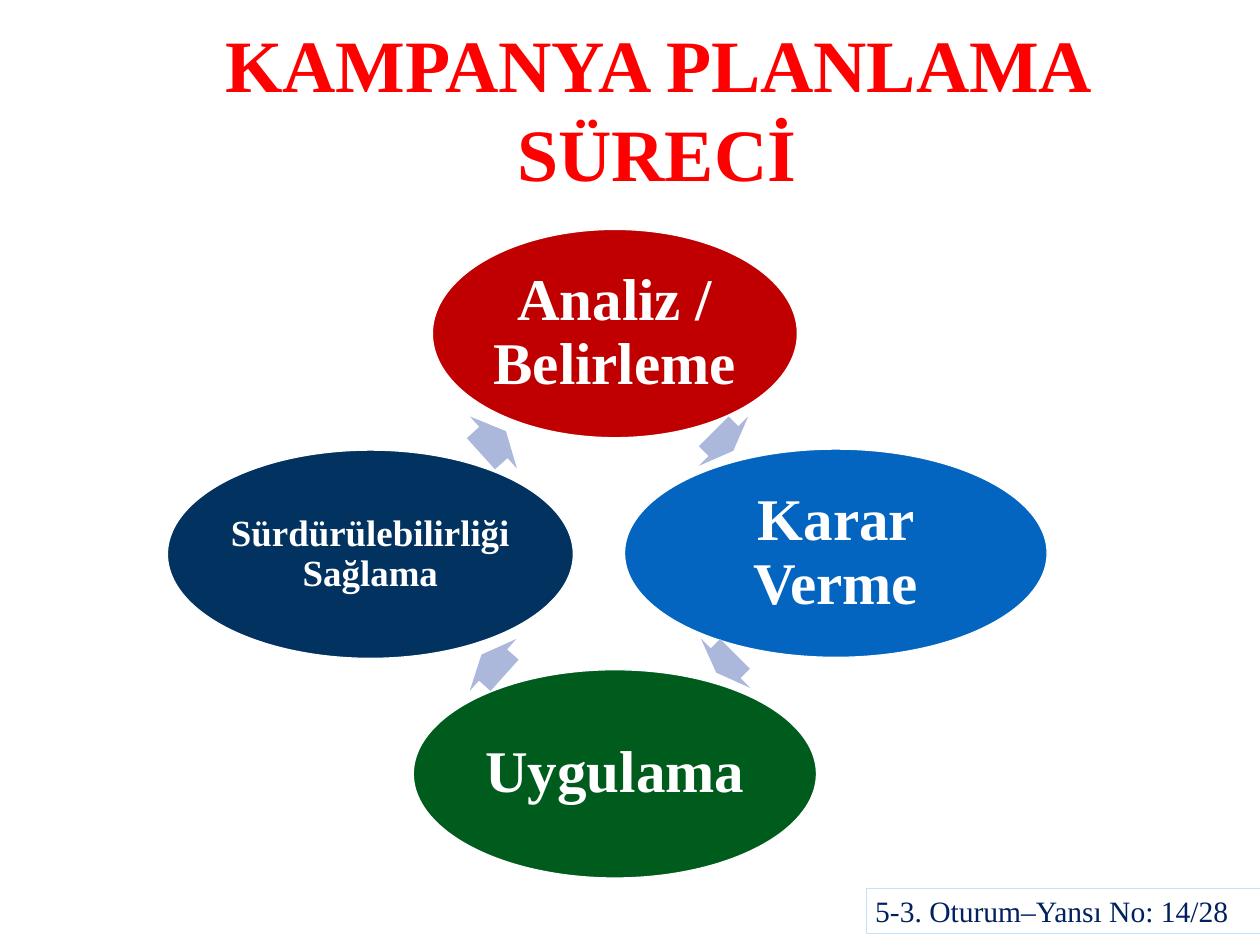
from dataclasses import dataclass

import pptx
import pptx.dml.color
import pptx.enum.shapes
import pptx.enum.text
import pptx.util

Pt = pptx.util.Pt
MSO_SHAPE = pptx.enum.shapes.MSO_SHAPE
PP_ALIGN = pptx.enum.text.PP_ALIGN
MSO_ANCHOR = pptx.enum.text.MSO_ANCHOR


@dataclass(frozen=True)
class Theme:
    font: str = "Times New Roman"
    title_size: float = 60
    stage_size: float = 48
    small_stage_size: float = 30
    footer_size: float = 24
    white: str = "FFFFFF"
    title: str = "FF0000"
    red: str = "C00000"
    blue: str = "0365C0"
    green: str = "005C1C"
    navy: str = "013260"
    arrow: str = "ABB8DC"
    footer_text: str = "002060"
    footer_line: str = "C1E1FE"


THEME = Theme()
STAGE_HEIGHT = 169.2
ARROW_HEIGHT = 56.9


@dataclass(frozen=True)
class Stage:
    text: str
    center_x: float
    center_y: float
    width: float
    color: str
    size: float = THEME.stage_size
    inset: float = 5


@dataclass(frozen=True)
class Arrow:
    center_x: float
    center_y: float
    width: float
    rotation: float


STAGES = [
    Stage("Analiz / Belirleme", 499.7, 271.1, 296.6, THEME.red),
    Stage("Karar Verme", 679.3, 449.6, 343.4, THEME.blue),
    Stage("Uygulama", 499.7, 628.9, 327.6, THEME.green),
    Stage("Sürdürülebilirliği Sağlama", 301, 450.4, 329.8, THEME.navy,
          THEME.small_stage_size, 3),
]
ARROWS = [
    Arrow(588, 358.5, 22.3, 45),
    Arrow(589.7, 539, 21.6, 135),
    Arrow(400.7, 540.4, 25.2, 221.9),
    Arrow(401, 359.6, 27.4, 317.9),
]


def rgb(color: str) -> pptx.dml.color.RGBColor:
    return pptx.dml.color.RGBColor.from_string(color)


def write(sp, text: str, size: float, color: str, *, bold: bool = True,
          align=PP_ALIGN.CENTER, anchor=MSO_ANCHOR.MIDDLE,
          insets: tuple[float, float] = (0, 0), line_spacing: float = 1) -> None:
    """Fill a shape with one paragraph; insets are horizontal, vertical."""
    tf = sp.text_frame
    tf.word_wrap = True
    tf.vertical_anchor = anchor
    tf.margin_left = tf.margin_right = Pt(insets[0])
    tf.margin_top = tf.margin_bottom = Pt(insets[1])
    p = tf.paragraphs[0]
    p.alignment = align
    p.line_spacing = line_spacing
    r = p.add_run()
    r.text = text
    r.font.name = THEME.font
    r.font.size = Pt(size)
    r.font.bold = bold
    r.font.color.rgb = rgb(color)


def add_centered(s, kind, center_x: float, center_y: float,
                 width: float, height: float, color: str):
    sp = s.shapes.add_shape(kind, Pt(center_x - width / 2), Pt(center_y - height / 2),
                            Pt(width), Pt(height))
    sp.shadow.inherit = False
    sp.fill.solid()
    sp.fill.fore_color.rgb = rgb(color)
    return sp


def add_stage(s, stage: Stage) -> None:
    sp = add_centered(s, MSO_SHAPE.OVAL, stage.center_x, stage.center_y,
                      stage.width, STAGE_HEIGHT, stage.color)
    sp.line.color.rgb = rgb(THEME.white)
    sp.line.width = Pt(1)
    write(sp, stage.text, stage.size, THEME.white,
          insets=(stage.inset, stage.inset), line_spacing=0.9)


def add_arrow(s, arrow: Arrow) -> None:
    sp = add_centered(s, MSO_SHAPE.RIGHT_ARROW, arrow.center_x, arrow.center_y,
                      arrow.width, ARROW_HEIGHT, THEME.arrow)
    sp.line.fill.background()
    sp.adjustments[0] = 0.6
    sp.adjustments[1] = 0.5
    sp.rotation = arrow.rotation


def add_title(s) -> None:
    sp = s.shapes.add_textbox(Pt(141.8), Pt(23.8), Pt(784), Pt(126.7))
    write(sp, "KAMPANYA PLANLAMA SÜRECİ", THEME.title_size, THEME.title)


def add_footer(s) -> None:
    sp = s.shapes.add_shape(MSO_SHAPE.RECTANGLE, Pt(704.2), Pt(722.2), Pt(319.8), Pt(36))
    sp.shadow.inherit = False
    sp.fill.background()
    sp.line.color.rgb = rgb(THEME.footer_line)
    sp.line.width = Pt(0.25)
    write(sp, "5-3. Oturum–Yansı No: 14/28", THEME.footer_size, THEME.footer_text,
          bold=False, align=PP_ALIGN.LEFT, anchor=MSO_ANCHOR.TOP, insets=(7.2, 3.6))


def main() -> None:
    prs = pptx.Presentation()
    prs.slide_width, prs.slide_height = Pt(1024), Pt(768)
    s = prs.slides.add_slide(prs.slide_layouts[6])
    for stage, arrow in zip(STAGES, ARROWS):
        add_stage(s, stage)
        add_arrow(s, arrow)
    add_title(s)
    add_footer(s)
    prs.save("out.pptx")


if __name__ == "__main__":
    main()
